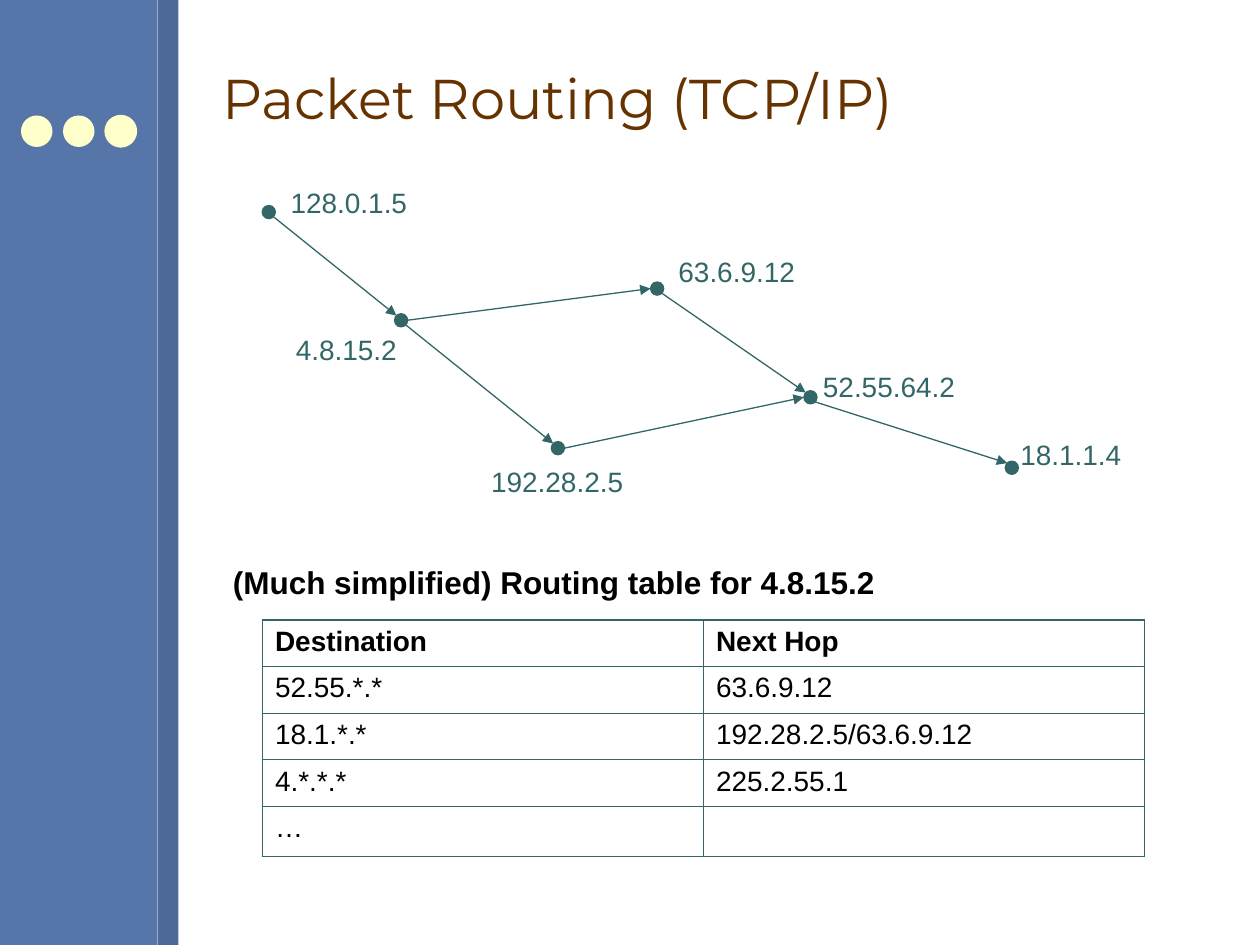
from lxml import etree
from pptx import Presentation
from pptx.dml.color import RGBColor
from pptx.enum import shapes, text
from pptx.oxml import ns
from pptx.util import Pt

COLORS = {
    "band": "5675A9", "stripe": "4D6997", "dot": "FFFFCC",
    "title": "663300", "network": "336666", "body": "000000",
}
NODE_SIZE = 7.5
DIAGONAL = NODE_SIZE / 2 * 0.707

# address: (node centre, label corner, label width), relative to the diagram
NODES = {
    "128.0.1.5": ((3.6, 19.2), (9, 0.5), 82),
    "4.8.15.2": ((79.2, 81), (12, 84.5), 73),
    "63.6.9.12": ((225.5, 62.9), (230.6, 39.8), 82),
    "192.28.2.5": ((168.8, 154.1), (123.6, 159.7), 91),
    "52.55.64.2": ((313.1, 125), (313.2, 105.4), 91),
    "18.1.1.4": ((428.2, 165.3), (426, 144.5), 73),
}
# (from, to, whether the link runs steeply downwards)
LINKS = [
    ("128.0.1.5", "4.8.15.2", True),
    ("4.8.15.2", "63.6.9.12", False),
    ("4.8.15.2", "192.28.2.5", True),
    ("192.28.2.5", "52.55.64.2", False),
    ("52.55.64.2", "18.1.1.4", True),
    ("63.6.9.12", "52.55.64.2", True),
]
ROUTES = [
    ("Destination", "Next Hop"),
    ("52.55.*.*", "63.6.9.12"),
    ("18.1.*.*", "192.28.2.5/63.6.9.12"),
    ("4.*.*.*", "225.2.55.1"),
    ("…", ""),
]


def rgb(name):
    return RGBColor.from_string(COLORS[name])


def style(font, size, color, face="Arial", bold=False):
    font.size, font.name, font.bold = Pt(size), face, bold
    font.color.rgb = rgb(color)


def add_solid(slide, preset, left, top, width, height, color, outlined=False):
    solid = slide.shapes.add_shape(preset, Pt(left), Pt(top), Pt(width), Pt(height))
    solid.shadow.inherit = False
    solid.fill.solid()
    solid.fill.fore_color.rgb = rgb(color)
    if outlined:
        solid.line.color.rgb = rgb(color)
        solid.line.width = Pt(0.75)
    else:
        solid.line.fill.background()


def add_text(slide, words, left, top, width, height, wrap=False,
             anchor=text.MSO_ANCHOR.TOP, **look):
    frame = slide.shapes.add_textbox(Pt(left), Pt(top), Pt(width), Pt(height)).text_frame
    frame.word_wrap = wrap
    if not wrap:
        frame.auto_size = text.MSO_AUTO_SIZE.SHAPE_TO_FIT_TEXT
    frame.vertical_anchor = anchor
    run = frame.paragraphs[0].add_run()
    run.text = words
    style(run.font, **look)


def add_arrow(slide, start, end):
    arrow = slide.shapes.add_connector(
        shapes.MSO_CONNECTOR.STRAIGHT, *(Pt(value) for value in (*start, *end)))
    arrow.line.color.rgb = rgb("network")
    arrow.line.width = Pt(0.75)
    etree.SubElement(arrow.line._get_or_add_ln(), ns.qn("a:tailEnd"), type="triangle")
    etree.SubElement(arrow._element.spPr, ns.qn("a:effectLst"))


def add_sidebar(slide, left, top, width, height):
    rectangle = shapes.MSO_SHAPE.RECTANGLE
    stripe_width = 12
    band_width = width - stripe_width
    add_solid(slide, rectangle, left, top, band_width, height, "band")
    add_solid(slide, rectangle, left + band_width, top, stripe_width, height, "stripe")
    for index in range(3):
        add_solid(slide, shapes.MSO_SHAPE.OVAL, left + 12 + 24 * index, top + 66,
                  18, 18, "dot", outlined=index == 2)


def add_network(slide, left, top):
    for address, ((x, y), (label_x, label_y), label_width) in NODES.items():
        add_solid(slide, shapes.MSO_SHAPE.OVAL, left + x - NODE_SIZE / 2,
                  top + y - NODE_SIZE / 2, NODE_SIZE, NODE_SIZE, "network", outlined=True)
        add_text(slide, address, left + label_x, top + label_y, label_width, 26.6,
                 size=16, color="network")
    for source, target, steep in LINKS:
        dx, dy = (DIAGONAL, DIAGONAL) if steep else (NODE_SIZE / 2, 0)
        (x1, y1), (x2, y2) = NODES[source][0], NODES[target][0]
        add_arrow(slide, (left + x1 + dx, top + y1 + dy), (left + x2 - dx, top + y2 - dy))


def set_borders(cell, widths):
    """Draw the left, right, top and bottom borders, in that order."""
    properties = cell._tc.get_or_add_tcPr()
    for position, (side, width) in enumerate(zip("LRTB", widths)):
        border = etree.Element(ns.qn(f"a:ln{side}"), w=str(Pt(width)))
        fill = etree.SubElement(border, ns.qn("a:solidFill"))
        etree.SubElement(fill, ns.qn("a:srgbClr"), val=COLORS["network"])
        properties.insert(position, border)


def add_routing_table(slide, left, top, width, row_height):
    last_row, last_column = len(ROUTES) - 1, len(ROUTES[0]) - 1
    table = slide.shapes.add_table(
        len(ROUTES), len(ROUTES[0]), Pt(left), Pt(top), Pt(width),
        Pt(row_height * len(ROUTES))).table
    table.first_row = table.horz_banding = False
    for row, route in enumerate(ROUTES):
        table.rows[row].height = Pt(row_height + (2 if row == last_row else 0))
        for column, words in enumerate(route):
            cell = table.cell(row, column)
            cell.fill.background()
            outer = (column == 0, column == last_column, row == 0, row == last_row)
            set_borders(cell, [1.08 if edge else 0.45 for edge in outer])
            paragraph = cell.text_frame.paragraphs[0]
            if words:
                run = paragraph.add_run()
                run.text = words
                style(run.font, 16, "body", bold=row == 0)
            else:
                paragraph.font.size = Pt(16)


def main():
    deck = Presentation()
    deck.slide_width, deck.slide_height = Pt(720), Pt(540)
    slide = deck.slides.add_slide(deck.slide_layouts[6])
    add_sidebar(slide, 0, 0, 102, 540)
    add_text(slide, "Packet Routing (TCP/IP)", 120, 15, 576, 81.5, wrap=True,
             anchor=text.MSO_ANCHOR.MIDDLE, size=32, color="title", face="Montserrat")
    add_network(slide, 150, 102)
    add_routing_table(slide, 150, 354.2, 504, 26.65)
    add_text(slide, "(Much simplified) Routing table for 4.8.15.2", 126, 318, 382, 29,
             size=18, color="body", bold=True)
    deck.save("out.pptx")


if __name__ == "__main__":
    main()
